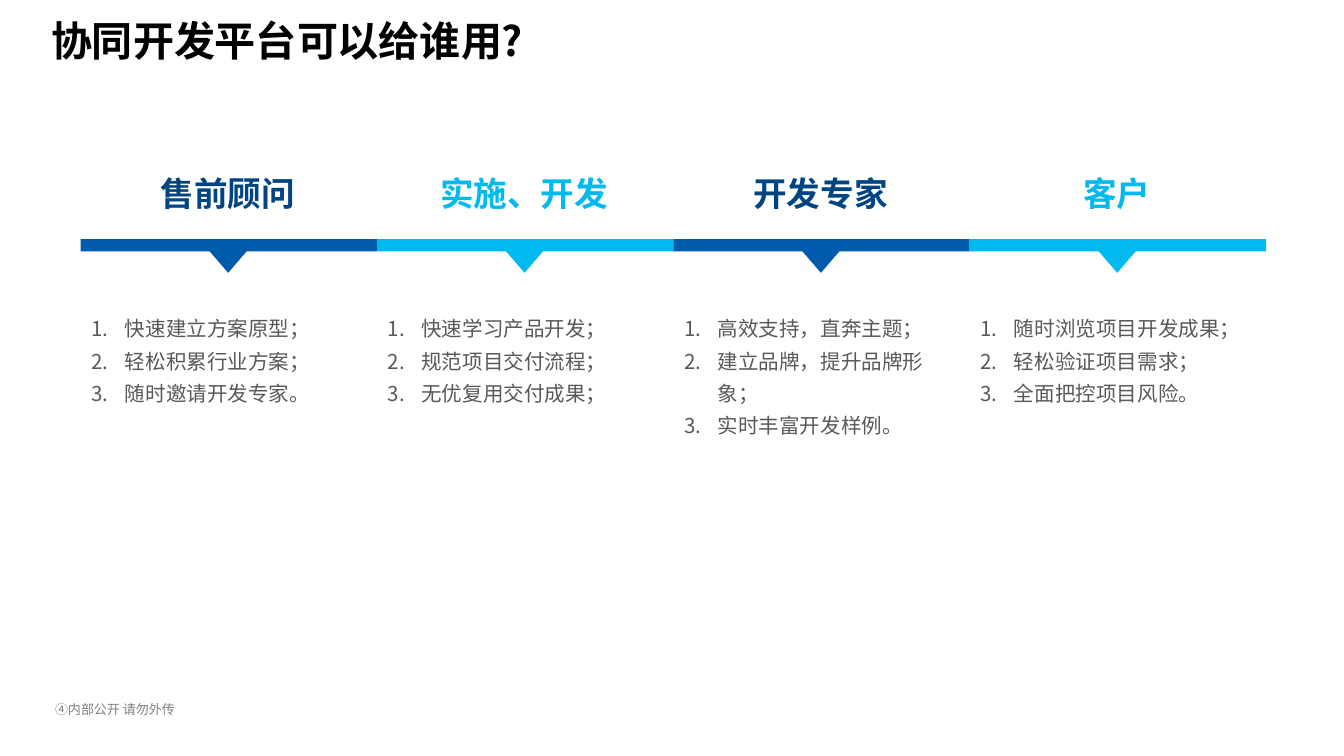
"""Build a slide showing the four groups of people the platform serves."""
from dataclasses import dataclass

from lxml.etree import SubElement
from pptx import Presentation
from pptx.dml.color import RGBColor
from pptx.enum.shapes import MSO_SHAPE
from pptx.enum.text import MSO_ANCHOR, PP_ALIGN
from pptx.oxml.ns import qn
from pptx.util import Inches, Pt

WIDE = 10
HIGH = WIDE * 9 / 16
LEFT, STEP = 0.6, 2.2 + 0.01 / 2
SANS = "Noto Sans CJK SC"
NAVY, BLUE, CYAN, GRAY = "004481", "005BAC", "00B9EF", "595959"


@dataclass(frozen=True)
class Role:
    name: str
    ink: str
    bar: str
    points: tuple[str, ...]


ROLES = (
    Role("售前顾问", NAVY, BLUE,
         ("快速建立方案原型；", "轻松积累行业方案；", "随时邀请开发专家。")),
    Role("实施、开发", CYAN, CYAN,
         ("快速学习产品开发；", "规范项目交付流程；", "无优复用交付成果；")),
    Role("开发专家", NAVY, BLUE,
         ("高效支持，直奔主题；", "建立品牌，提升品牌形象；", "实时丰富开发样例。")),
    Role("客户", CYAN, CYAN,
         ("随时浏览项目开发成果；", "轻松验证项目需求；", "全面把控项目风险。")),
)


def paint(target, ink: str) -> None:
    """Give a font or fill its colour."""
    if hasattr(target, "solid"):
        target.solid()
        target.fore_color.rgb = RGBColor.from_string(ink)
    else:
        target.color.rgb = RGBColor.from_string(ink)


def place(left: float, top: float, width: float, height: float) -> list[int]:
    """Turn inches into a shape's four lengths."""
    return [Inches(value) for value in (left, top, width, height)]


def number(para) -> None:
    """Number a paragraph with a hanging indent."""
    props = para._p.get_or_add_pPr()
    props.set("marL", str(Inches(0.25)))
    props.set("indent", str(-Inches(0.25)))
    props.set("hangingPunct", "0")
    SubElement(props, qn("a:buFont"), typeface="+mj-lt")
    SubElement(props, qn("a:buAutoNum"), type="arabicPeriod")


def write(shape, *lines: str, size: float, ink: str, face: str = SANS,
          bold: bool = False, align=PP_ALIGN.LEFT, anchor=MSO_ANCHOR.MIDDLE,
          inset: tuple[float, float] = (0, 0), space=1.3,
          listed: bool = False) -> None:
    """Write formatted lines into a shape."""
    frame = shape.text_frame
    frame.word_wrap = True
    frame.vertical_anchor = anchor
    frame.margin_left = frame.margin_right = Inches(inset[0])
    frame.margin_top = frame.margin_bottom = Inches(inset[1])
    for index, line in enumerate(lines):
        para = frame.add_paragraph() if index else frame.paragraphs[0]
        para.alignment, para.line_spacing = align, space
        if listed:
            number(para)
        run = para.add_run()
        run.text = line
        run.font.size, run.font.bold, run.font.name = Pt(size), bold, face
        paint(run.font, ink)
        SubElement(run._r.get_or_add_rPr(), qn("a:ea"), typeface=SANS)


def draw(shapes, kind, box: list[int], ink: str, turn: int = 0) -> None:
    """Draw a plain filled shape."""
    shape = shapes.add_shape(kind, *box)
    shape.shadow.inherit = False
    shape.rotation = turn
    paint(shape.fill, ink)
    shape.line.fill.background()


def show(slide, band, role: Role, col: int) -> None:
    """Draw one role's heading, marker and list in its column."""
    left = LEFT + col * STEP
    head = slide.shapes.add_textbox(*place(left + 0.11, 1, 1.97, 0.78))
    write(head, role.name, size=18, ink=role.ink, face="Calibri", bold=True,
          align=PP_ALIGN.CENTER)
    draw(band, MSO_SHAPE.RECTANGLE, place(left, 1.78, STEP, 0.09), role.bar)
    draw(band, MSO_SHAPE.ISOSCELES_TRIANGLE,
         place(left + STEP / 2 - 0.16, 1.85, 0.31, 0.18), role.bar, turn=180)
    body = slide.shapes.add_textbox(*place(left + 0.08, 2.3, 2.04, 2.09))
    write(body, *role.points, size=11, ink=GRAY, anchor=MSO_ANCHOR.TOP,
          listed=True)


def main() -> None:
    """Build and save the slide."""
    deck = Presentation()
    deck.slide_width, deck.slide_height = Inches(WIDE), Inches(HIGH)
    slide = deck.slides.add_slide(deck.slide_layouts[5])
    title = slide.shapes.title
    title.left, title.top, title.width, title.height = place(
        0.28, 0.02, 8.62, 0.55)
    write(title, "协同开发平台可以给谁用?", size=22, ink="000000", bold=True,
          inset=(0.1, 0.05), space=1.0)
    note = slide.shapes.add_textbox(*place(0.35, 5.13, 1.77, 0.27))
    write(note, "④内部公开 请勿外传", size=7, ink="808080",
          inset=(0.06, 0.01), space=Pt(10.5))
    band = slide.shapes.add_group_shape().shapes
    for col, role in enumerate(ROLES):
        show(slide, band, role, col)
    deck.save("out.pptx")


if __name__ == "__main__":
    main()
